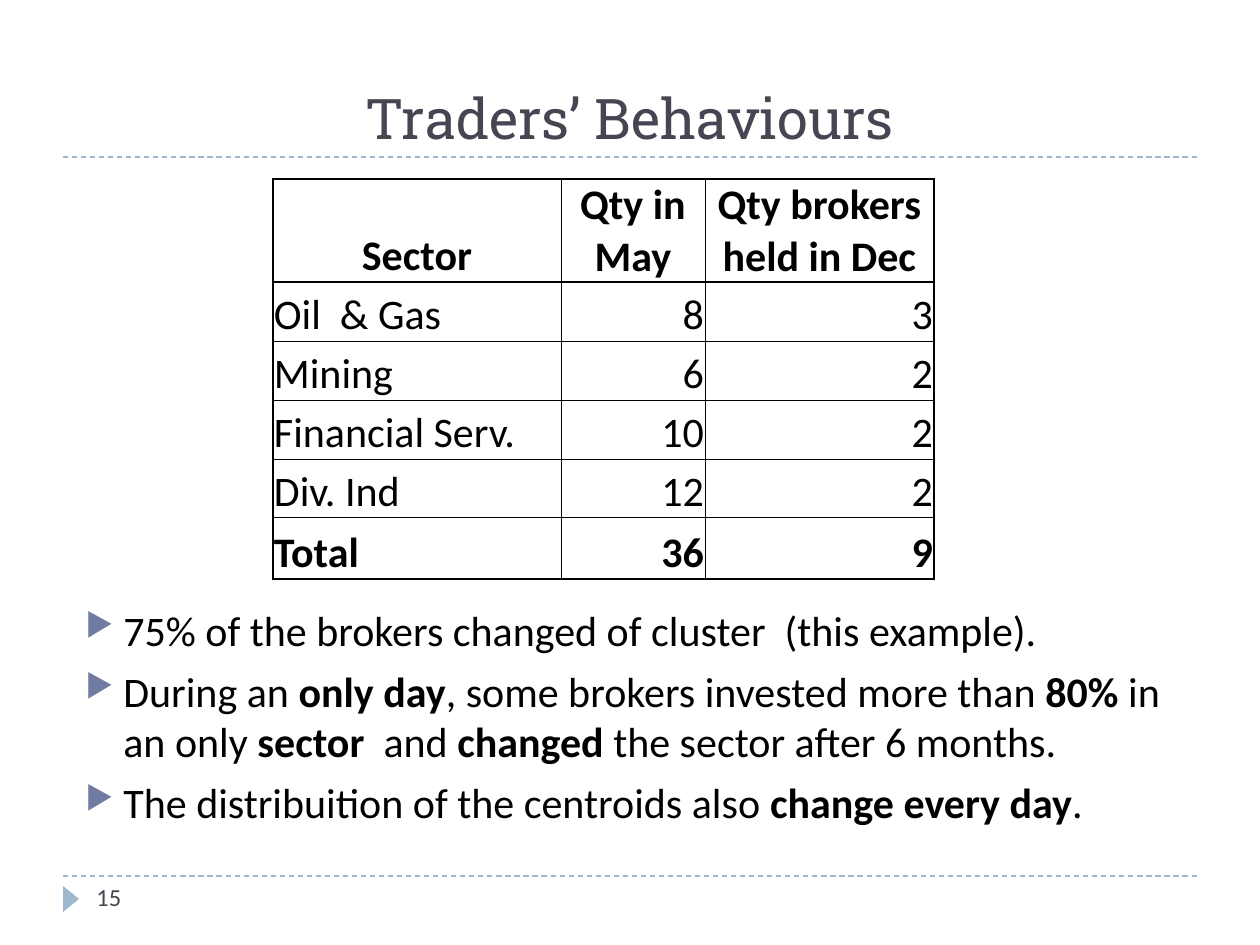
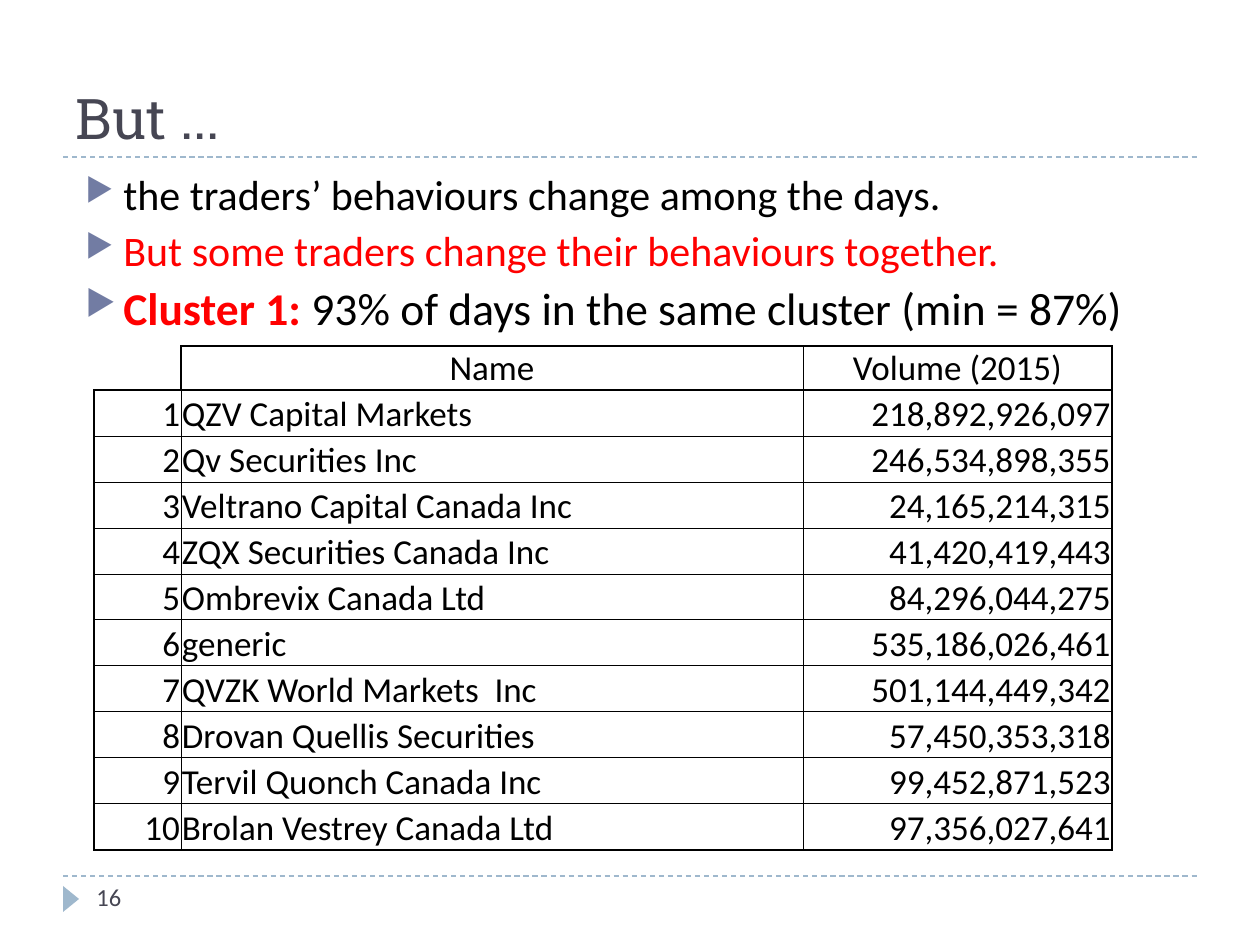
"""Builds two slides on how traders change cluster."""
from dataclasses import dataclass

from lxml import etree
from pptx import Presentation
from pptx import util as u
from pptx.dml.color import RGBColor
from pptx.enum import dml, shapes, text
from pptx.oxml import ns


@dataclass(frozen=True)
class Theme:
    """Colours, fonts and type sizes of the deck."""
    ink: str = "000000"
    heading: str = "464653"
    rule: str = "9FB8CD"
    bullet: str = "727CA3"
    alert: str = "FF0000"
    heading_font: str = "Roboto Slab"
    body_font: str = "Calibri"
    title_size: int = 32
    large_size: int = 26
    body_size: int = 24
    list_size: int = 20
    number_size: int = 14
    thick: float = 1
    thin: float = 0.5


@dataclass(frozen=True)
class Point:
    """One bullet; double asterisks enclose its strong words."""
    words: str
    size: int = Theme.body_size
    colour: str = Theme.ink
    strong_colour: str = Theme.ink


THEME = Theme()
LEFT, CENTER, RIGHT = text.PP_ALIGN.LEFT, text.PP_ALIGN.CENTER, text.PP_ALIGN.RIGHT

SECTORS = [
    ("Sector", "Qty in May", "Qty brokers held in Dec"),
    ("Oil  & Gas", "8", "3"),
    ("Mining", "6", "2"),
    ("Financial Serv.", "10", "2"),
    ("Div. Ind", "12", "2"),
    ("Total", "36", "9"),
]
SECTOR_POINTS = [
    Point("75% of the brokers changed of cluster  (this example)."),
    Point("During an **only day**, some brokers invested more than **80% **in an only "
          "**sector**  and **changed** the sector after 6 months."),
    Point("The distribuition of the centroids also **change every day**."),
]
BROKERS = [
    ("QZV Capital Markets", "218,892,926,097"),
    ("Qv Securities Inc", "246,534,898,355"),
    ("Veltrano Capital Canada Inc", "24,165,214,315"),
    ("ZQX Securities Canada Inc", "41,420,419,443"),
    ("Ombrevix Canada Ltd", "84,296,044,275"),
    ("generic", "535,186,026,461"),
    ("QVZK World Markets  Inc", "501,144,449,342"),
    ("Drovan Quellis Securities", "57,450,353,318"),
    ("Tervil Quonch Canada Inc", "99,452,871,523"),
    ("Brolan Vestrey Canada Ltd", "97,356,027,641"),
]
CLUSTER_POINTS = [
    Point("the traders’ behaviours change among the days."),
    Point("But some traders change their behaviours together.", colour=THEME.alert),
    Point("**Cluster 1: **93% of days in the same cluster (min = 87%)",
          size=THEME.large_size, strong_colour=THEME.alert),
]


def px(*lengths):
    """Turn px lengths into EMU."""
    return [u.Inches(length / 126) for length in lengths]


def style(font, size, colour, name=THEME.body_font, bold=False):
    """Set the look of a font."""
    font.size, font.name, font.bold = u.Pt(size), name, bold
    font.color.rgb = RGBColor.from_string(colour)


def add_xml(parent, tag, **attributes):
    """Append a drawing element to a parent."""
    return etree.SubElement(parent, ns.qn(f"a:{tag}"), attributes)


def add_rule(slide, y):
    """Draw a dashed rule across the slide."""
    rule = slide.shapes.add_connector(shapes.MSO_CONNECTOR.STRAIGHT, *px(63, y, 1197, y))
    rule.line.color.rgb = RGBColor.from_string(THEME.rule)
    rule.line.width = u.Pt(0.75)
    rule.line.dash_style = dml.MSO_LINE.DASH
    add_xml(rule._element.spPr, "effectLst")


def add_page(deck, heading, alignment, number):
    """Add a slide with its heading, rules, marker and number."""
    slide = deck.slides.add_slide(deck.slide_layouts[5])
    title = slide.shapes.title
    title.left, title.top, title.width, title.height = px(63, 21, 1134, 136)
    title.text_frame.text = heading
    title.text_frame.vertical_anchor = text.MSO_ANCHOR.BOTTOM
    line = title.text_frame.paragraphs[0]
    line.alignment = alignment
    style(line.font, THEME.title_size, THEME.heading, THEME.heading_font)

    for y in (157, 876):
        add_rule(slide, y)
    marker = slide.shapes.add_shape(shapes.MSO_SHAPE.ISOSCELES_TRIANGLE, *px(58, 891, 26, 16))
    marker.rotation = 90
    marker.shadow.inherit = False
    marker.fill.solid()
    marker.fill.fore_color.rgb = RGBColor.from_string(THEME.rule)
    marker.line.fill.background()

    page_number = slide.shapes.add_textbox(*px(84, 876, 273, 50)).text_frame
    page_number.word_wrap = True
    page_number.text = str(number)
    style(page_number.paragraphs[0].font, THEME.number_size, THEME.heading)
    return slide


def add_points(slide, box, points, line_spacing=1.0):
    """Write a bulleted list."""
    frame = slide.shapes.add_textbox(*px(*box)).text_frame
    frame.word_wrap = True
    for index, point in enumerate(points):
        line = frame.add_paragraph() if index else frame.paragraphs[0]
        line.space_before = u.Pt(6)
        line.line_spacing = line_spacing
        properties = line._p.get_or_add_pPr()
        indent = px(38)[0]
        properties.set("marL", str(indent))
        properties.set("indent", str(-indent))
        add_xml(add_xml(properties, "buClr"), "srgbClr", val=THEME.bullet)
        add_xml(properties, "buSzPct", val="76000")
        add_xml(properties, "buChar", char="▶")
        for part, words in enumerate(point.words.split("**")):
            if words:
                strong = part % 2 == 1
                run = line.add_run()
                run.text = words
                style(run.font, point.size, point.strong_colour if strong else point.colour,
                      bold=strong)


def border_width(rows, row, column, row_step, column_step):
    """Give the border width towards a neighbour, or None outside the grid."""
    def filled(r, c):
        return 0 <= r < len(rows) and 0 <= c < len(rows[0]) and bool(rows[r][c])

    here, there = filled(row, column), filled(row + row_step, column + column_step)
    if not (here or there):
        return None
    below_header = {row, row + row_step} == {0, 1}
    return THEME.thin if here and there and not below_header else THEME.thick


def draw_borders(cell, rows, row, column):
    """Draw the four borders of a cell."""
    properties = cell._tc.get_or_add_tcPr()
    sides = (("lnL", 0, -1), ("lnR", 0, 1), ("lnT", -1, 0), ("lnB", 1, 0))
    for order, (tag, row_step, column_step) in enumerate(sides):
        width = border_width(rows, row, column, row_step, column_step)
        border = add_xml(properties, tag, w=str(u.Pt(width or 0)))
        if width:
            add_xml(add_xml(border, "solidFill"), "srgbClr", val=THEME.ink)
        else:
            add_xml(border, "noFill")
        properties.insert(order, border)


def add_grid(slide, corner, widths, heights, rows, alignments, size, bold_rows=()):
    """Add a ruled table with a centred header row."""
    frame = slide.shapes.add_table(len(rows), len(widths),
                                   *px(*corner, sum(widths), sum(heights)))
    grid = frame.table
    grid.first_row = grid.horz_banding = False
    for column, width in zip(grid.columns, px(*widths)):
        column.width = width
    for line, height in zip(grid.rows, px(*heights)):
        line.height = height
    for r, values in enumerate(rows):
        for c, value in enumerate(values):
            cell = grid.cell(r, c)
            cell.margin_left, cell.margin_top, cell.margin_right, cell.margin_bottom = px(1, 1, 1, 0)
            cell.vertical_anchor = text.MSO_ANCHOR.BOTTOM
            cell.fill.background()
            cell.text = value
            words = cell.text_frame.paragraphs[0]
            words.alignment = alignments[c] if r else CENTER
            style(words.font, size, THEME.ink, bold=r in bold_rows)
            draw_borders(cell, rows, r, c)


def main():
    """Build and save the deck."""
    deck = Presentation()
    deck.slide_width, deck.slide_height = px(1260, 945)

    behaviours = add_page(deck, "Traders’ Behaviours", CENTER, 15)
    add_grid(behaviours, (273, 179), (288, 144, 229), (103, 59, 59, 59, 59, 61), SECTORS,
             (LEFT, RIGHT, RIGHT), THEME.body_size, bold_rows=(0, len(SECTORS) - 1))
    add_points(behaviours, (73, 598, 1134, 262), SECTOR_POINTS)

    together = add_page(deck, "But ...", LEFT, 16)
    add_points(together, (73, 168, 1134, 179), CLUSTER_POINTS, line_spacing=0.9)
    ranking = [("", "Name", "Volume (2015)")]
    ranking += [(str(rank), *broker) for rank, broker in enumerate(BROKERS, 1)]
    add_grid(together, (94, 346), (87, 622, 309), [44] + [46] * len(BROKERS), ranking,
             (RIGHT, LEFT, RIGHT), THEME.list_size)

    deck.save("out.pptx")


if __name__ == "__main__":
    main()
